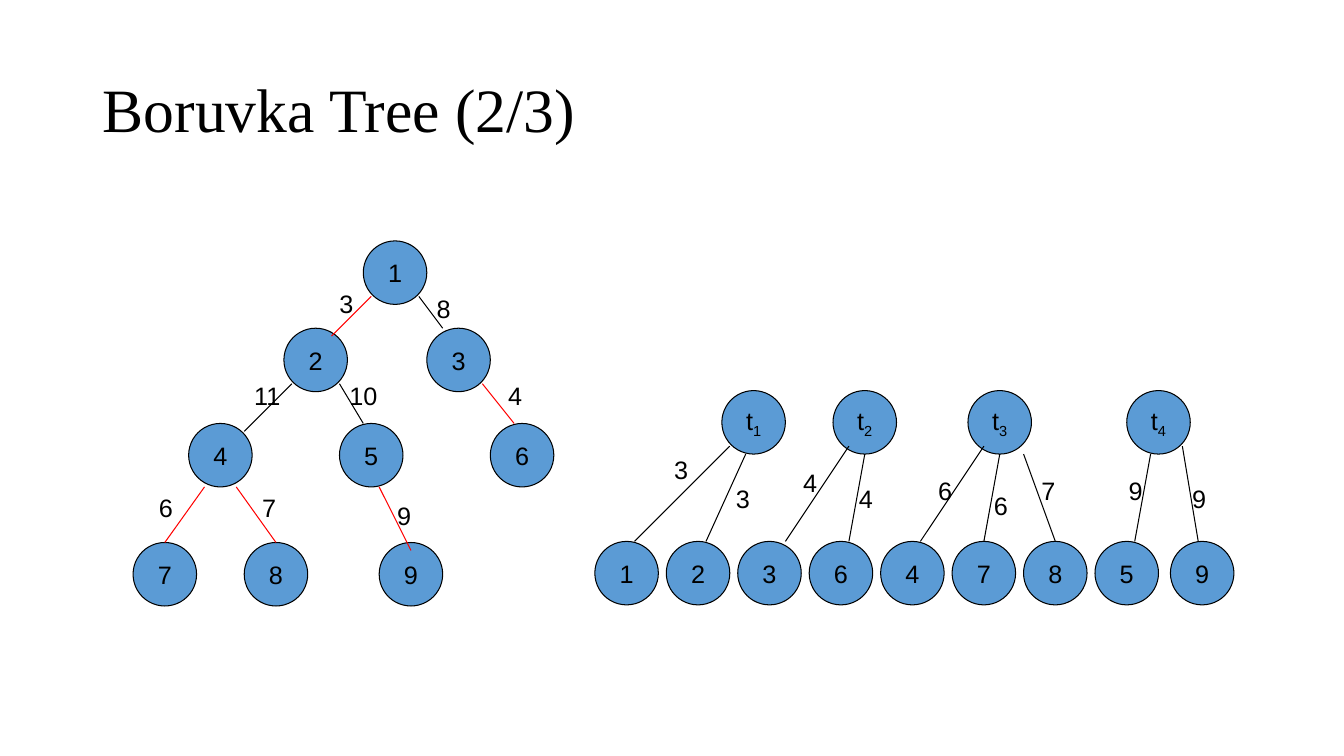
from pptx import Presentation
from pptx.dml.color import RGBColor
from pptx.enum.shapes import MSO_CONNECTOR as CONN, MSO_SHAPE as SHAPE
from pptx.enum.text import MSO_ANCHOR as ANCHOR, MSO_AUTO_SIZE as FIT, PP_ALIGN as ALIGN
from pptx.oxml import parse_xml
from pptx.oxml.ns import nsdecls
from pptx.util import Inches, Mm, Pt

COLORS = {"text": "000000", "node": "5B9BD5", "edge": "000000", "chosen": "FF0000"}
CELL = Mm(2)
NODE = 8

TREE = {
    "origin": (1.32, 2.39),
    "nodes": [
        ("1", 29, 0), ("2", 19, 11), ("3", 37, 11),
        ("4", 7, 23), ("6", 45, 23), ("5", 26, 23),
        ("7", 0, 38), ("8", 14, 38), ("9", 31, 38),
    ],
    "edges": [
        (30, 7, 25, 12, "chosen"), (20, 18, 14, 24, "edge"),
        (9, 31, 4, 38, "chosen"), (36, 7, 39, 11, "edge"),
        (26, 18, 29, 23, "edge"), (44, 18, 48, 23, "chosen"),
        (13, 31, 18, 38, "chosen"), (31, 31, 35, 39, "chosen"),
    ],
    "weights": [
        ("3", 24.75, 5.33), ("8", 37, 6), ("11", 14, 17), ("4", 46, 17),
        ("10", 26, 17), ("9", 32, 32), ("7", 15, 31), ("6", 2, 31),
    ],
}

LEAVES = [(name, 9 * i, 19) for i, name in enumerate("12364785")]
ROOTS = [("t1", 16, 0), ("t2", 30, 0), ("t3", 47, 0), ("t4", 67, 0)]
LEAF_LINKS = [
    (5, 17, 7), (14, 19, 8), (24, 32, 7), (32, 34, 8), (41, 49, 7),
    (49, 51, 8), (58, 54, 8), (68, 70, 8), (76, 74, 7),
]
FOREST = {
    "origin": (5.9, 3.875),
    "nodes": LEAVES + [("9", 72.5, 19)] + ROOTS,
    "edges": [(leaf, 19, root, row, "edge") for leaf, root, row in LEAF_LINKS],
    "weights": [
        ("3", 8.75, 7.4), ("3", 16.5, 11), ("4", 25, 9), ("4", 32, 11),
        ("6", 42, 10), ("6", 49, 12), ("7", 55, 10), ("9", 66, 10), ("9", 74, 11),
    ],
}


class TreeSlide:
    def __init__(self, prs):
        self.prs = prs
        self.s = prs.slides.add_slide(prs.slide_layouts[5])
        self.origin = (0, 0)

    def color(self, name):
        return RGBColor.from_string(COLORS[name])

    def at(self, col, row):
        left, top = self.origin
        return Inches(left) + round(col * CELL), Inches(top) + round(row * CELL)

    def run(self, p, text, size=18, font="Arial"):
        r = p.add_run()
        r.text = text
        r.font.size = Pt(size)
        r.font.name = font
        r.font.color.rgb = self.color("text")
        return r

    def title(self, text):
        sp = self.s.shapes.title
        w, h = self.prs.slide_width, self.prs.slide_height
        sp.left, sp.top = round(w * 0.069), round(h * 0.053)
        sp.width, sp.height = round(w * 0.8625), round(h * 0.193)
        tf = sp.text_frame
        tf.vertical_anchor = ANCHOR.MIDDLE
        tf.auto_size = FIT.NONE
        p = tf.paragraphs[0]
        p.alignment = ALIGN.LEFT
        p.line_spacing = 0.9
        self.run(p, text, 44, "Times New Roman")

    def node(self, name, col, row):
        sp = self.s.shapes.add_shape(SHAPE.OVAL, *self.at(col, row), NODE * CELL, NODE * CELL)
        sp.shadow.inherit = False
        sp.fill.solid()
        sp.fill.fore_color.rgb = self.color("node")
        sp.line.color.rgb = self.color("edge")
        sp.line.width = Pt(0.75)
        tf = sp.text_frame
        tf.word_wrap = False
        tf.vertical_anchor = ANCHOR.MIDDLE
        p = tf.paragraphs[0]
        p.alignment = ALIGN.CENTER
        self.run(p, name[0])
        if name[1:]:
            r = self.run(p, name[1:])
            r.font._element.set("baseline", "-25000")

    def edge(self, col1, row1, col2, row2, color):
        cx = self.s.shapes.add_connector(CONN.STRAIGHT, *self.at(col1, row1), *self.at(col2, row2))
        cx.line.color.rgb = self.color(color)
        cx.line.width = Pt(0.75)
        cx._element.spPr.append(parse_xml(f"<a:effectLst {nsdecls('a')}/>"))

    def weight(self, text, col, row):
        width = Inches(0.2 + 0.14 * len(text))
        tf = self.s.shapes.add_textbox(*self.at(col, row), width, Inches(0.4)).text_frame
        tf.word_wrap = False
        tf.auto_size = FIT.SHAPE_TO_FIT_TEXT
        self.run(tf.paragraphs[0], text)

    def graph(self, data):
        self.origin = data["origin"]
        for node in data["nodes"]:
            self.node(*node)
        for edge in data["edges"]:
            self.edge(*edge)
        for weight in data["weights"]:
            self.weight(*weight)


def main():
    prs = Presentation()
    prs.slide_width, prs.slide_height = Inches(13.33), Inches(7.5)
    slide = TreeSlide(prs)
    slide.title("Boruvka Tree (2/3)")
    slide.graph(TREE)
    slide.graph(FOREST)
    prs.save("out.pptx")


if __name__ == "__main__":
    main()
